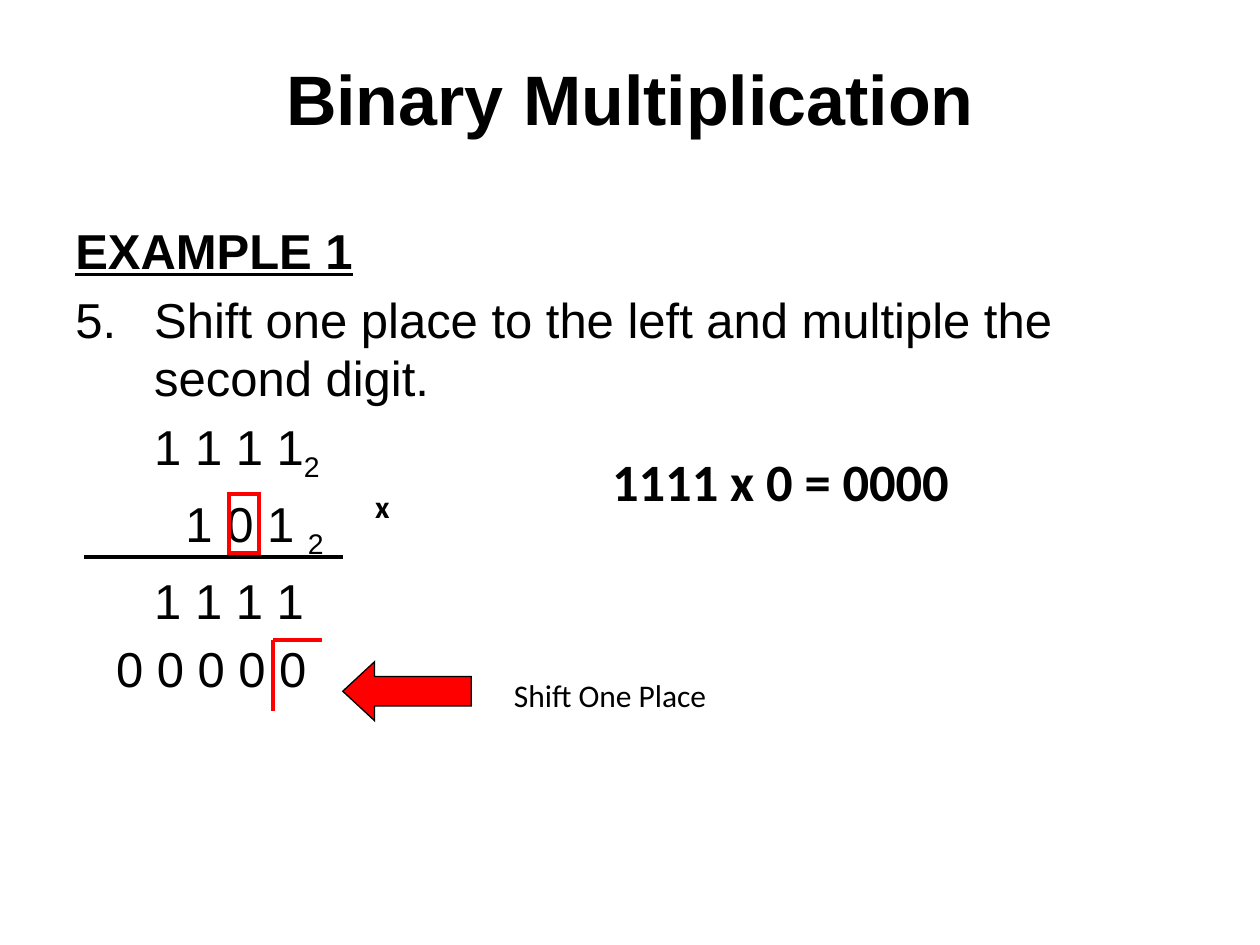
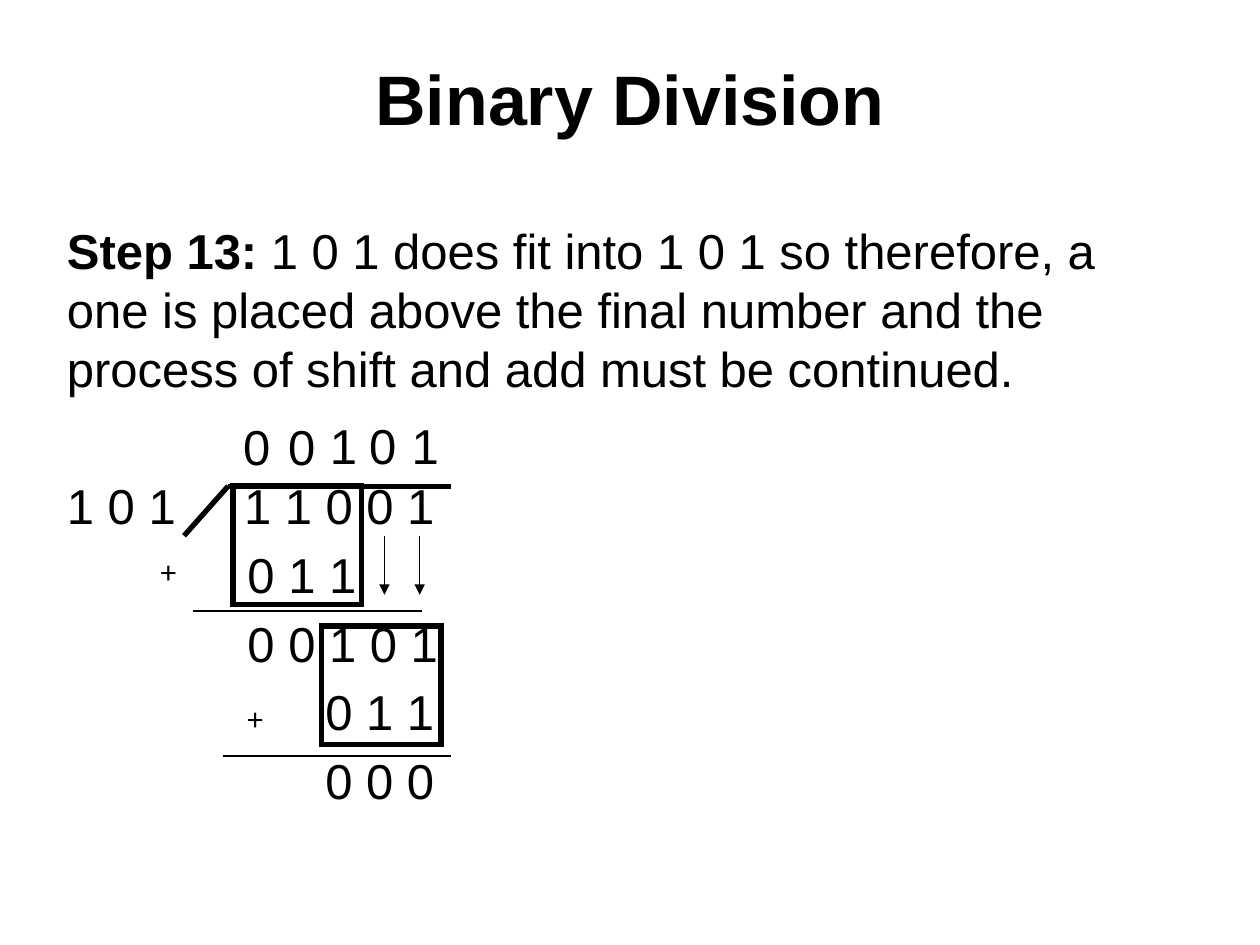
from lxml.etree import SubElement
from pptx import Presentation
from pptx.dml.color import RGBColor
from pptx.enum.shapes import MSO_CONNECTOR as Connector, MSO_SHAPE as Shape
from pptx.enum.text import MSO_ANCHOR as Anchor, PP_ALIGN as Align
from pptx.oxml.ns import qn
from pptx.util import Cm, Pt

BLACK = RGBColor(0x00, 0x00, 0x00)
RED = RGBColor(0xFF, 0x00, 0x00)
TITLE_ONLY = 5


def add_text(paragraph, text, font="Arial", size=28, color=BLACK,
             bold=False, underline=False, subscript=False):
    run = paragraph.add_run()
    run.text = text
    run.font.name = font
    run.font.size = Pt(size)
    run.font.color.rgb = color
    run.font.bold = bold
    run.font.underline = underline
    if subscript:
        run.font._element.set("baseline", "-25000")


class Deck:
    """Holds the shared style and the current slide."""

    def __init__(self):
        self.presentation = Presentation()
        self.presentation.slide_width = Cm(25.4)
        self.presentation.slide_height = Cm(19.05)
        self.slide = None

    def new_slide(self, title):
        layout = self.presentation.slide_layouts[TITLE_ONLY]
        self.slide = self.presentation.slides.add_slide(layout)
        shape = self.slide.shapes.title
        shape.left, shape.top = Cm(1.27), Cm(0.76)
        shape.width, shape.height = Cm(22.86), Cm(2.41)
        shape.text_frame.vertical_anchor = Anchor.MIDDLE
        paragraph = shape.text_frame.paragraphs[0]
        paragraph.alignment = Align.CENTER
        add_text(paragraph, title, size=40, bold=True)

    def text_frame(self, left, top, width, height):
        shape = self.slide.shapes.add_textbox(
            Cm(left), Cm(top), Cm(width), Cm(height))
        shape.text_frame.word_wrap = True
        return shape.text_frame

    def label(self, text, left, top, width, height=1.02, align=Align.CENTER, **style):
        paragraph = self.text_frame(left, top, width, height).paragraphs[0]
        paragraph.alignment = align
        add_text(paragraph, text, **style)

    def body(self, left, height, lines):
        """Each line is (runs, paragraph options); a run is (text, format)."""
        frame = self.text_frame(left, 4.32, 22.86, height)
        for index, (runs, options) in enumerate(lines):
            paragraph = frame.add_paragraph() if index else frame.paragraphs[0]
            self.format_paragraph(paragraph, **options)
            if index:
                paragraph.space_before = Pt(options.get("before", 5.6))
            for text, style in runs:
                add_text(paragraph, text, **style)

    def format_paragraph(self, paragraph, indent=0, number=None, before=None):
        properties = paragraph._p.get_or_add_pPr()
        properties.set("marL", str(Cm(indent)))
        properties.set("indent", str(-Cm(indent) if number else 0))
        if number:
            SubElement(properties, qn("a:buFont"), typeface="Arial")
            SubElement(properties, qn("a:buAutoNum"),
                       type="arabicPeriod", startAt=str(number))
        else:
            SubElement(properties, qn("a:buNone"))

    def shape(self, kind, left, top, width, height, line=BLACK, weight=3.0, fill=None):
        shape = self.slide.shapes.add_shape(
            kind, Cm(left), Cm(top), Cm(width), Cm(height))
        shape.shadow.inherit = False
        shape.line.color.rgb = line
        shape.line.width = Pt(weight)
        SubElement(shape.line._get_or_add_ln(), qn("a:miter"), lim="800000")
        if fill is None:
            shape.fill.background()
        else:
            shape.fill.solid()
            shape.fill.fore_color.rgb = fill
        return shape

    def line(self, x1, y1, x2, y2, weight, color=BLACK, arrow=False):
        connector = self.slide.shapes.add_connector(
            Connector.STRAIGHT, Cm(x1), Cm(y1), Cm(x2), Cm(y2))
        connector.line.color.rgb = color
        connector.line.width = Pt(weight)
        if arrow:
            SubElement(connector.line._get_or_add_ln(), qn("a:tailEnd"), type="triangle")
        SubElement(connector._element.spPr, qn("a:effectLst"))


def build_multiplication(deck):
    deck.new_slide("Binary Multiplication")
    base = ("2", {"subscript": True})
    deck.body(1.27, 13.74, [
        ([("EXAMPLE 1", {"bold": True, "underline": True})], {}),
        ([("Shift one place to the left and multiple the second digit.", {})],
         {"indent": 1.59, "number": 5}),
        ([("1 1 1 1", {}), base], {"indent": 1.59}),
        ([("1 0 1 ", {}), base], {"indent": 2.22}),
        ([("1 1 1 1", {})], {"indent": 1.59}),
        ([("0 0 0 0 0", {})], {"indent": 0.82}),
    ])

    # Multiplier sign, rule and highlighted digit
    deck.label("x", 6.91, 9.7, 1.6, font="Calibri", size=18, bold=True)
    deck.line(1.7, 11.23, 6.91, 11.23, 2.25)
    deck.shape(Shape.RECTANGLE, 4.62, 9.96, 0.61, 1.19, line=RED, weight=2.25)
    deck.label("1111 x 0 = 0000", 12.09, 8.92, 9.6, 1.52, align=Align.LEFT,
               font="Calibri", size=30, bold=True)

    # Shifted place
    arrow = deck.shape(Shape.LEFT_ARROW, 6.91, 13.34, 2.59, 1.19, weight=0.75, fill=RED)
    arrow.adjustments[0], arrow.adjustments[1] = 0.5, 0.54
    deck.label("Shift One Place", 10.11, 13.51, 6.4, align=Align.LEFT,
               font="Calibri", size=18)
    deck.line(6.5, 12.9, 5.51, 12.9, 2.25, RED)
    deck.line(5.51, 12.9, 5.51, 14.33, 2.25, RED)


def build_division(deck):
    deck.new_slide("Binary Division")
    deck.body(1.1, 14.05, [
        ([("Step 13: ", {"bold": True}),
          ("1 0 1 does fit into 1 0 1 so therefore, a one is placed above the final "
           "number and the process of shift and add must be continued.", {})], {}),
        ([("1 0 1", {})], {"before": 45}),
        ([("0 1 1", {})], {"indent": 3.64}),
        ([("0 0 1 0 1", {})], {"indent": 3.64}),
        ([("0 1 1", {})], {"indent": 5.21}),
        ([("0 0 0", {})], {"indent": 5.21}),
    ])

    # Dividend, level with the divisor
    deck.label("1 1 0 0 1", 4.67, 9.46, 5, 1.45, align=Align.LEFT)

    # Addition signs and the digits being added
    for left, top in ((2.9, 11), (4.65, 13.97)):
        deck.label("+", left, top, 0.99, font="Calibri", size=18)
    deck.shape(Shape.RECTANGLE, 6.48, 12.62, 2.41, 2.39)
    deck.shape(Shape.RECTANGLE, 4.7, 9.8, 2.59, 2.39)

    # Division bracket and sum rules
    deck.line(4.6, 9.8, 9.09, 9.8, 3)
    deck.line(4.6, 9.8, 3.71, 10.8, 3)
    deck.line(3.89, 12.32, 8.51, 12.32, 1.5)
    deck.line(4.5, 15.24, 9.09, 15.24, 1.5)

    # Digits brought down
    for x in (7.75, 8.46):
        deck.line(x, 10.8, x, 11.99, 0.75, arrow=True)

    # Quotient
    for digit, left, top in zip("00101", (4.65, 5.56, 6.4, 7.19, 8.05),
                                (8.28, 8.28, 8.26, 8.26, 8.26)):
        deck.label(digit, left, top, 0.99, 1.45)


def main():
    deck = Deck()
    build_multiplication(deck)
    build_division(deck)
    deck.presentation.save("out.pptx")


if __name__ == "__main__":
    main()
